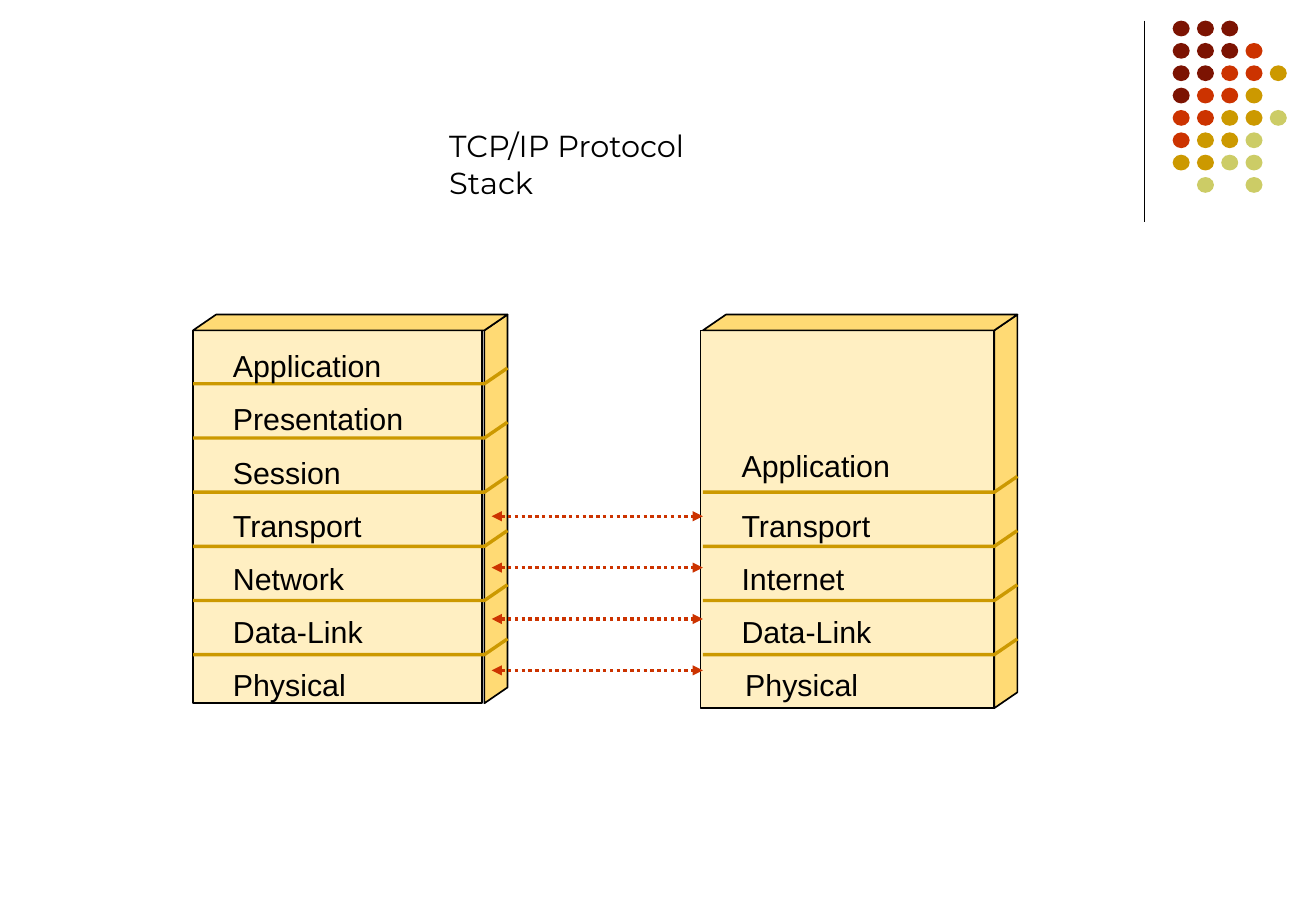
"""Builds a slide comparing the seven OSI layers with the TCP/IP protocol stack."""
from lxml import etree
from pptx import Presentation
from pptx.dml.color import RGBColor
from pptx.enum.dml import MSO_LINE
from pptx.enum.shapes import MSO_CONNECTOR, MSO_SHAPE
from pptx.enum.text import MSO_ANCHOR, MSO_AUTO_SIZE, PP_ALIGN
from pptx.oxml.ns import qn
from pptx.util import Pt

STRAIGHT = MSO_CONNECTOR.STRAIGHT
RECTANGLE, OVAL = MSO_SHAPE.RECTANGLE, MSO_SHAPE.OVAL
DOTTED = MSO_LINE.ROUND_DOT
TOP, LEFT = MSO_ANCHOR.TOP, PP_ALIGN.LEFT
FIXED = MSO_AUTO_SIZE.NONE

PX = 9144
SLIDE_SIZE = (1084, 750)
TITLE = "TCP/IP Protocol Stack"
TITLE_BOX = (360, 100, 271, 40)
BLACK, FACE, EDGE, GOLD, RED = "000000", "FFEFC2", "FFDA74", "CC9900", "CC3300"

DOT_COLORS = {"D": "7C1302", "R": RED, "G": GOLD, "L": "CCCC66"}
DOT_ROWS = ["DDD", "DDDR", "DDRRG", "DRRG", "RRGGL", "RGGL", "GGLL", " L L"]
DOT_ORIGIN, DOT_PITCH, DOT_SIZE = (966, 17), (20, 18.4), (14, 13)
MARGIN_LINE = ((943, 17), (943, 183))

LAYER_TOP, LAYER_PITCH = 281, 43.8
DIVIDER_TOP, DIVIDER_PITCH = 316, 44.6
STACK_TOP, STACK_WIDTH, DEPTH = 272, 240, (19, 13)
LABEL_SIZE = (189, 40)

STACKS = [
    {"left": 159, "bottom": 579, "face": (159, 238), "dividers": range(6),
     "labels": [("Application", 182, 0), ("Presentation", 182, 1), ("Session", 182, 2),
                ("Transport", 182, 3), ("Network", 182, 4), ("Data-Link", 182, 5),
                ("Physical", 182, 6)]},
    {"left": 579, "bottom": 583, "face": (577, 242), "dividers": range(2, 6),
     "labels": [("Application", 601, 1.87), ("Transport", 601, 3), ("Internet", 601, 4),
                ("Data-Link", 601, 5), ("Physical", 604, 6)]},
]
PEER_LINKS, LINK_ENDS, LINK_TOP, LINK_PITCH = 4, (405, 579), 425, 42.3


def emu(*lengths):
    return [round(length * PX) for length in lengths]


def rgb(value):
    return RGBColor.from_string(value)


def paint(shape, fill=None, line=None, weight=1):
    shape.shadow.inherit = False
    if fill:
        shape.fill.solid()
        shape.fill.fore_color.rgb = rgb(fill)
    else:
        shape.fill.background()
    if line:
        shape.line.color.rgb = rgb(line)
        shape.line.width = Pt(weight)
    else:
        shape.line.fill.background()


def add_outline(shapes, points, closed, **style):
    start, *others = [emu(*point) for point in points]
    builder = shapes.build_freeform(*start)
    builder.add_line_segments(others, close=closed)
    paint(builder.convert_to_shape(), **style)


def add_line(shapes, start, end, color, weight):
    connector = shapes.add_connector(STRAIGHT, *emu(*start, *end))
    connector.line.color.rgb = rgb(color)
    connector.line.width = Pt(weight)
    etree.SubElement(connector._element.spPr, qn("a:effectLst"))
    return connector


def write(shape, text, font_name):
    frame = shape.text_frame
    frame.text = text
    frame.word_wrap = True
    frame.auto_size = FIXED
    frame.vertical_anchor = TOP
    paragraph = frame.paragraphs[0]
    paragraph.alignment = LEFT
    paragraph.font.name = font_name
    paragraph.font.size = Pt(18)
    paragraph.font.color.rgb = rgb(BLACK)


def add_dots(shapes):
    add_line(shapes, *MARGIN_LINE, BLACK, 0.75)
    for row, colors in enumerate(DOT_ROWS):
        for column, key in enumerate(colors):
            if key in DOT_COLORS:
                left = DOT_ORIGIN[0] + column * DOT_PITCH[0]
                top = DOT_ORIGIN[1] + row * DOT_PITCH[1]
                dot = shapes.add_shape(OVAL, *emu(left, top, *DOT_SIZE))
                paint(dot, DOT_COLORS[key])


def add_stack(shapes, stack):
    left, bottom = stack["left"], stack["bottom"]
    front = left + STACK_WIDTH
    back, back_top = front + DEPTH[0], STACK_TOP - DEPTH[1]
    face_left, face_width = stack["face"]
    face = shapes.add_shape(
        RECTANGLE, *emu(face_left, STACK_TOP, face_width, bottom - STACK_TOP))
    paint(face, FACE, BLACK)
    side = [(back, back_top), (front, STACK_TOP), (front, bottom), (back, bottom - DEPTH[1])]
    lid = [(left, STACK_TOP), (left + DEPTH[0], back_top), (back, back_top), (front, STACK_TOP)]
    for outline in (side, lid):
        add_outline(shapes, outline, True, fill=EDGE, line=BLACK)
    for index in stack["dividers"]:
        y = DIVIDER_TOP + index * DIVIDER_PITCH
        divider = [(left, y), (front, y), (back, y - DEPTH[1])]
        add_outline(shapes, divider, False, line=GOLD, weight=2)
    for layer, x, level in stack["labels"]:
        y = LAYER_TOP + level * LAYER_PITCH
        write(shapes.add_textbox(*emu(x, y, *LABEL_SIZE)), layer, "Arial")


def add_peer_links(shapes):
    for index in range(PEER_LINKS):
        y = LINK_TOP + index * LINK_PITCH
        link = add_line(shapes, (LINK_ENDS[0], y), (LINK_ENDS[1], y), RED, 2)
        link.line.dash_style = DOTTED
        for end in ("a:headEnd", "a:tailEnd"):
            etree.SubElement(link.line._get_or_add_ln(), qn(end), type="triangle")


def main():
    deck = Presentation()
    deck.slide_width, deck.slide_height = emu(*SLIDE_SIZE)
    slide = deck.slides.add_slide(deck.slide_layouts[5])
    title = slide.shapes.title
    title.left, title.top, title.width, title.height = emu(*TITLE_BOX)
    write(title, TITLE, "Montserrat")
    add_dots(slide.shapes)
    for stack in STACKS:
        add_stack(slide.shapes, stack)
    add_peer_links(slide.shapes)
    deck.save("out.pptx")


if __name__ == "__main__":
    main()
